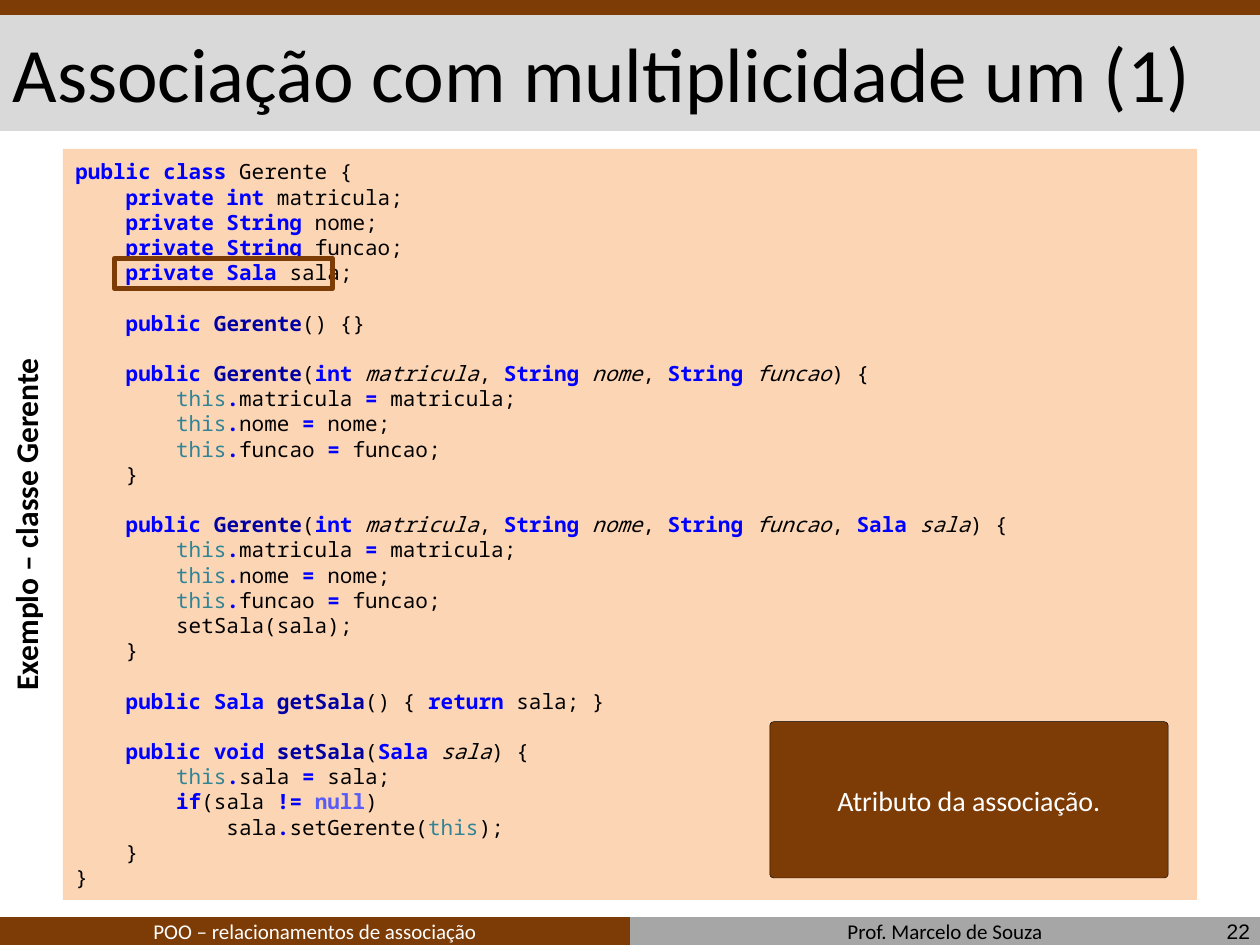
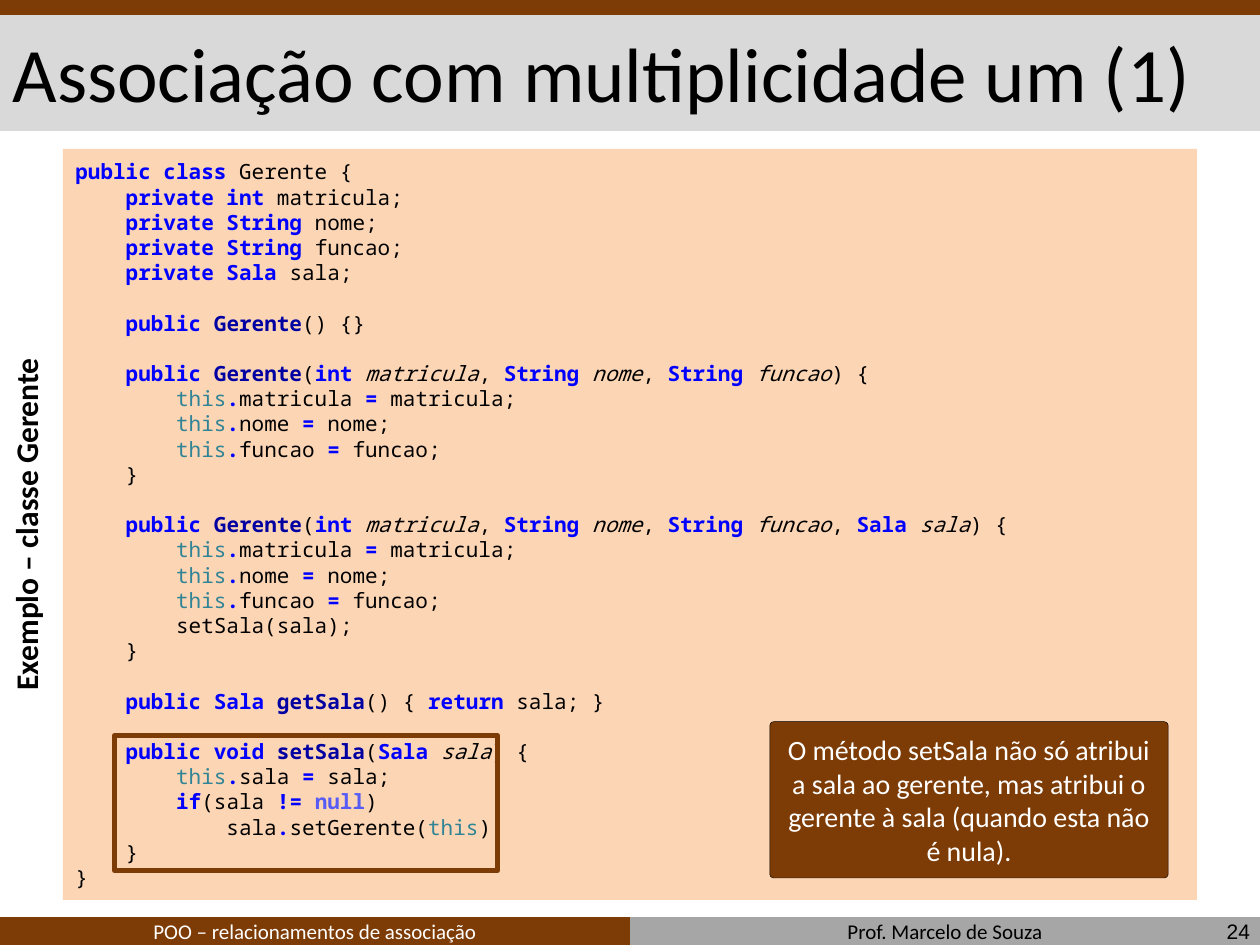
from lxml.etree import SubElement
from pptx import Presentation
from pptx.dml.color import RGBColor
from pptx.enum.shapes import MSO_SHAPE
from pptx.enum.text import MSO_ANCHOR, MSO_AUTO_SIZE, PP_ALIGN
from pptx.oxml.ns import qn
from pptx.util import Cm, Pt

BROWN = RGBColor(0x7D, 0x3B, 0x05)
PEACH = RGBColor(0xFC, 0xD5, 0xB5)
LIGHT_GREY = RGBColor(0xD9, 0xD9, 0xD9)
MID_GREY = RGBColor(0xA6, 0xA6, 0xA6)
BLACK = RGBColor(0x00, 0x00, 0x00)
WHITE = RGBColor(0xFF, 0xFF, 0xFF)
KEYWORD_BLUE = RGBColor(0x00, 0x00, 0xFF)
METHOD_NAVY = RGBColor(0x00, 0x00, 0xA2)
THIS_TEAL = RGBColor(0x31, 0x84, 0x95)
NULL_VIOLET = RGBColor(0x58, 0x5C, 0xF6)

TITLE = "Associação com multiplicidade um (1)"
SIDE_LABEL = "Exemplo – classe Gerente"
COURSE = "POO – relacionamentos de associação"
TEACHER = "Prof. Marcelo de Souza"

# Each marker switches the style of the code that follows it.
CODE_STYLES = {
    "`": {"color": BLACK},
    "@": {"color": KEYWORD_BLUE, "bold": True},
    "#": {"color": METHOD_NAVY, "bold": True},
    "~": {"color": BLACK, "italic": True},
    "$": {"color": THIS_TEAL},
    "%": {"color": NULL_VIOLET, "bold": True},
}
PARAMETERS = "@int ~matricula`, @String ~nome`, @String ~funcao"
ASSIGNMENTS = [
    f"        $this@.`{field} @=` {field};" for field in ("matricula", "nome", "funcao")
]
CODE = [
    "@public class` Gerente {",
    "@    private int` matricula;",
    "@    private String` nome;",
    "@    private String `funcao;",
    "@    private Sala `sala;",
    "",
    "@    public #Gerente`() {}",
    "",
    f"@    public #Gerente`({PARAMETERS}`) {{",
    *ASSIGNMENTS,
    "    }",
    "",
    f"@    public #Gerente`({PARAMETERS}`, @Sala ~sala`) {{",
    *ASSIGNMENTS,
    "        setSala(sala);",
    "    }",
    "",
    "@    public Sala #getSala`() { @return `sala; }",
    "",
    "@    public void #setSala`(@Sala ~sala`) {",
    "        $this@.`sala @=` sala;",
    "@        if`(sala @!= %null`)",
    "            sala@.`setGerente($this`);",
    "    }",
    "}",
]

# Boxes are (left, top, width, height) in centimetres.
WIDTH, HEIGHT = 25.4, 19.05
HALF = WIDTH / 2
BANDS = [
    (MID_GREY, (HALF, 18.49, HALF, 0.61)),
    (BROWN, (0, 18.49, HALF, 0.61)),
    (LIGHT_GREY, (0, 0.28, WIDTH, 2.36)),
    (BROWN, (0, 0, WIDTH, 0.3)),
]
FOOTERS = [
    (TEACHER, BLACK, (HALF, 18.39, HALF, 0.76)),
    (COURSE, WHITE, (0, 18.39, HALF, 0.76)),
]
TITLE_BOX = (0, 0.3, WIDTH, 2.31)
SIDE_LABEL_BOX = (4.45, -1.85, 15.95, 24.84)
NUMBER_BOX = (19.53, 18.36, 5.92, 0.84)
CODE_BOX = (1.27, 3, 22.86, 15.14)
NOTE_BOX = (15.52, 14.55, 8.03, 3.15)

SLIDES = [
    {
        "number": "22",
        "note": "Atributo da associação.",
        "highlight": (2.31, 5.21, 4.39, 0.61),
    },
    {
        "number": "24",
        "note": "O método setSala não só atribui a sala ao gerente, mas atribui "
                "o gerente à sala (quando esta não é nula).",
        "highlight": (2.31, 14.83, 7.72, 2.72),
    },
]


def lengths(box):
    return [Cm(value) for value in box]


def format_font(font, color=BLACK, **values):
    font.color.rgb = color
    for name, value in values.items():
        setattr(font, name, value)


def write(shape, text, align, anchor, **font_values):
    """Fill a shape with a single formatted paragraph."""
    frame = shape.text_frame
    frame.word_wrap = True
    frame.auto_size = MSO_AUTO_SIZE.NONE
    frame.vertical_anchor = anchor
    paragraph = frame.paragraphs[0]
    paragraph.alignment = align
    paragraph.space_before = Pt(0)
    run = paragraph.add_run()
    run.text = text
    format_font(run.font, **{"name": "Calibri", "bold": False, **font_values})


def add_box(slide, box, fill=None, line=None, line_width=0, kind=MSO_SHAPE.RECTANGLE):
    shape = slide.shapes.add_shape(kind, *lengths(box))
    shape.shadow.inherit = False
    if fill is None:
        shape.fill.background()
    else:
        shape.fill.solid()
        shape.fill.fore_color.rgb = fill
    if line is None:
        shape.line.fill.background()
    else:
        shape.line.color.rgb = line
        shape.line.width = Pt(line_width)
    return shape


def add_text(slide, box, text, align, anchor, **font_values):
    shape = slide.shapes.add_textbox(*lengths(box))
    write(shape, text, align, anchor, **font_values)
    return shape


def place(shape, box):
    for name, value in zip(("left", "top", "width", "height"), lengths(box)):
        setattr(shape, name, value)


def add_frame_to_layout(slide):
    """Draw bands and footers once and move them to the layout of the slide."""
    parts = [add_box(slide, box, fill) for fill, box in BANDS]
    parts += [
        add_text(slide, box, text, PP_ALIGN.CENTER, MSO_ANCHOR.BOTTOM,
                 size=Pt(12), color=color)
        for text, color, box in FOOTERS
    ]
    for part in parts:
        slide.slide_layout.shapes._spTree.append(part._element)


def styled_pieces(line):
    """Yield (text, style) for each stretch of a marked line of code."""
    text, marker = "", "`"
    for character in line:
        if character not in CODE_STYLES:
            text += character
            continue
        if text:
            yield text, CODE_STYLES[marker]
        text, marker = "", character
    if text:
        yield text, CODE_STYLES[marker]


def add_code(slide):
    frame = add_box(slide, CODE_BOX, PEACH).text_frame
    frame.word_wrap = True
    frame.vertical_anchor = MSO_ANCHOR.MIDDLE
    for index, line in enumerate(CODE):
        paragraph = frame.add_paragraph() if index else frame.paragraphs[0]
        paragraph.alignment = PP_ALIGN.LEFT
        for text, style in styled_pieces(line):
            run = paragraph.add_run()
            run.text = text
            format_font(run.font, name="Noto Sans Mono", size=Pt(12), **style)
        if not line:
            end = SubElement(paragraph._p, qn("a:endParaRPr"), sz="1200")
            SubElement(end, qn("a:latin"), typeface="Noto Sans Mono")


def fill_placeholders(slide):
    title, side_label = slide.shapes.title, slide.placeholders[1]
    place(title, TITLE_BOX)
    write(title, TITLE, PP_ALIGN.LEFT, MSO_ANCHOR.MIDDLE, size=Pt(44))

    place(side_label, SIDE_LABEL_BOX)
    side_label.rotation = 270
    properties = side_label.text_frame.paragraphs[0]._p.get_or_add_pPr()
    properties.set("marL", "0")
    properties.set("indent", "0")
    SubElement(properties, qn("a:buNone"))
    write(side_label, SIDE_LABEL, PP_ALIGN.CENTER, MSO_ANCHOR.TOP,
          size=Pt(18), bold=True)


def build_slide(slide, content):
    fill_placeholders(slide)
    add_text(slide, NUMBER_BOX, content["number"], PP_ALIGN.RIGHT,
             MSO_ANCHOR.MIDDLE, name="Arial", size=Pt(12))
    add_code(slide)
    note = add_box(slide, NOTE_BOX, BROWN, BLACK, 0.25, MSO_SHAPE.ROUNDED_RECTANGLE)
    note.adjustments[0] = 0.025
    write(note, content["note"], PP_ALIGN.CENTER, MSO_ANCHOR.MIDDLE,
          size=Pt(16), color=WHITE)
    add_box(slide, content["highlight"], line=BROWN, line_width=3)


def main():
    presentation = Presentation()
    presentation.slide_width, presentation.slide_height = lengths((WIDTH, HEIGHT))
    layout = presentation.slide_layouts[1]
    slides = [presentation.slides.add_slide(layout) for _ in SLIDES]
    add_frame_to_layout(slides[0])
    for slide, content in zip(slides, SLIDES):
        build_slide(slide, content)
    presentation.save("out.pptx")


if __name__ == "__main__":
    main()
